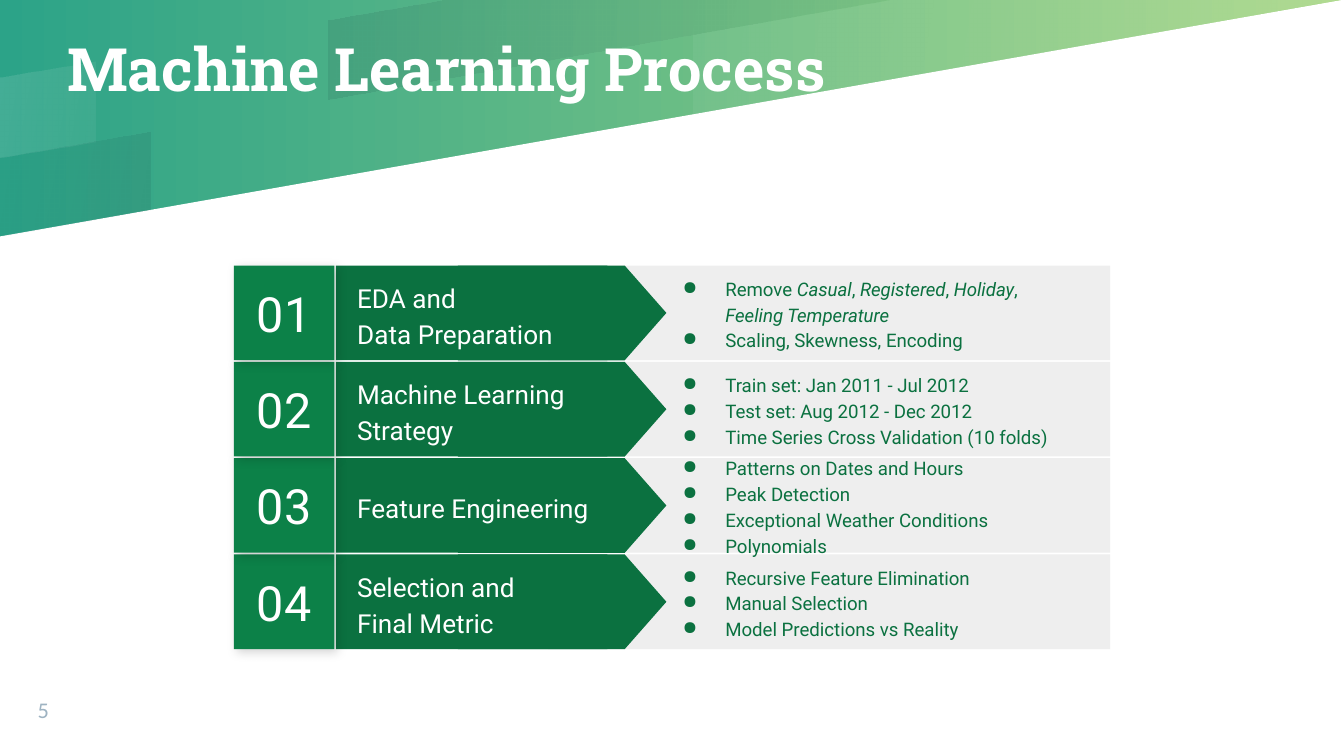
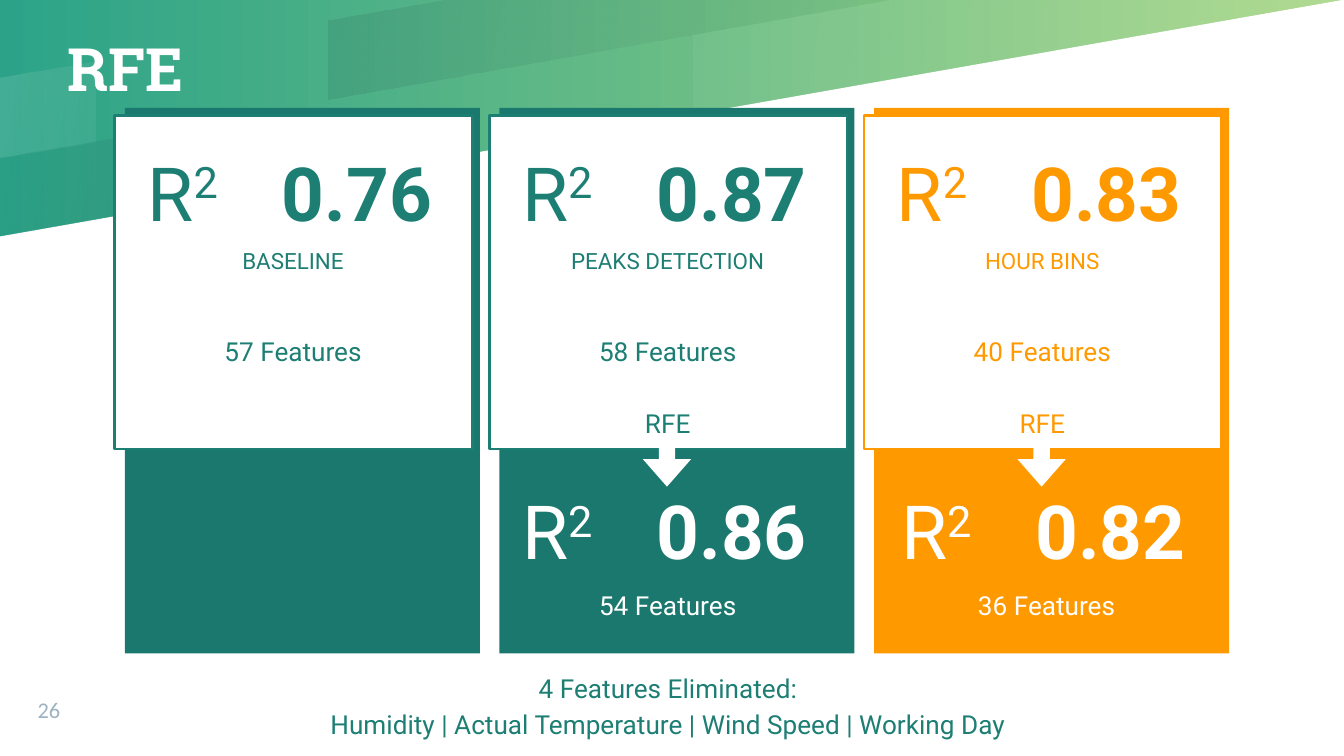
from lxml import etree
from pptx import Presentation
from pptx.dml.color import RGBColor
from pptx.enum.shapes import MSO_SHAPE
from pptx.enum.text import MSO_ANCHOR, PP_ALIGN
from pptx.oxml.ns import qn
from pptx.util import Cm, Pt

RECT = MSO_SHAPE.RECTANGLE
PENTAGON = MSO_SHAPE.FLOWCHART_OFFPAGE_CONNECTOR
ARROW = MSO_SHAPE.RIGHT_ARROW
TOP, MIDDLE, BOTTOM = MSO_ANCHOR.TOP, MSO_ANCHOR.MIDDLE, MSO_ANCHOR.BOTTOM
LEFT, CENTER = PP_ALIGN.LEFT, PP_ALIGN.CENTER

# Colours
WHITE = RGBColor(0xFF, 0xFF, 0xFF)
INK = RGBColor(0x00, 0x00, 0x1A)
BG_START = RGBColor(0x2C, 0xA3, 0x88)
BG_END = RGBColor(0xA6, 0xD6, 0x83)
PAGE_GREY = RGBColor(0x9E, 0xB3, 0xC2)
PANEL_GREY = RGBColor(0xEE, 0xEE, 0xEE)
GREEN = RGBColor(0x0B, 0x71, 0x40)
TILE_GREEN = RGBColor(0x0C, 0x81, 0x48)
TEAL = RGBColor(0x1D, 0x7E, 0x74)
DEEP_TEAL = RGBColor(0x1B, 0x78, 0x6E)
ORANGE = RGBColor(0xFF, 0x99, 0x00)

BODY_FONT = "Roboto"
TITLE_FONT = "Roboto Slab"
PAGE_FONT = "Calibri"
INSET = 0.25

# Header bands: colour, start and end opacity in percent, corners in cm
BANDS = [
    (INK, 2, 8, [(0, 2.97), (0, 4.47), (2.84, 3.96), (2.84, 2.49)]),
    (WHITE, 5, 12, [(16.89, 0), (13.11, 0.66), (13.11, 2.16), (25.37, 0)]),
    (WHITE, 12, 5, [(0, 1.47), (0, 2.97), (1.8, 2.67), (1.8, 1.17)]),
    (INK, 8, 2, [(8.43, 0), (6.2, 0.38), (6.2, 1.88), (16.89, 0)]),
]
PAPER = [(0, 14.29), (25.4, 14.29), (25.4, 0), (25.37, 0), (0, 4.47)]

# Process steps; asterisks enclose italics
STEPS = [
    (["EDA and", "Data Preparation"],
     ["Remove *Casual*, *Registered*, *Holiday*,* Feeling Temperature*",
      "Scaling, Skewness, Encoding"]),
    (["Machine Learning Strategy"],
     ["Train set: Jan 2011 - Jul 2012", "Test set: Aug 2012 - Dec 2012",
      "Time Series Cross Validation (10 folds)"]),
    (["Feature Engineering"],
     ["Patterns on Dates and Hours", "Peak Detection",
      "Exceptional Weather Conditions", "Polynomials"]),
    (["Selection and", "Final Metric"],
     ["Recursive Feature Elimination", "Manual Selection",
      "Model Predictions vs Reality"]),
]
ROW_TOP, ROW_PITCH, ROW_H = 5.02, 1.82, 1.79

# Score cards: name, R², features, back colour, text colour,
# result after RFE as (R², features, shift in cm)
CARDS = [
    ("BASELINE", "0.76", "57 Features", DEEP_TEAL, TEAL, None),
    ("PEAKS DETECTION", "0.87", "58 Features", DEEP_TEAL, TEAL,
     ("0.86", "54 Features", 0)),
    ("HOUR BINS", "0.83", "40 Features", ORANGE, ORANGE,
     ("0.82", "36 Features", 0.08)),
]
CARD_LEFT, CARD_PITCH = 2.36, 7.08


# Drawing helpers
def box(left, top, width, height):
    return Cm(left), Cm(top), Cm(width), Cm(height)


def add_outer_shadow(effects, opacity, blur, distance):
    shadow = etree.SubElement(effects, qn("a:outerShdw"), blurRad=str(Pt(blur)),
                              dist=str(Pt(distance)), dir="2700000",
                              algn="bl", rotWithShape="0")
    color = etree.SubElement(shadow, qn("a:srgbClr"), val="000000")
    etree.SubElement(color, qn("a:alpha"), val=str(opacity * 1000))


def plain(sp, color, line=None):
    sp.shadow.inherit = False
    sp.fill.solid()
    sp.fill.fore_color.rgb = color
    if line is None:
        sp.line.fill.background()
    else:
        sp.line.color.rgb = line
        sp.line.width = Pt(1.5)
    return sp


def add_block(shapes, kind, place, color, line=None):
    return plain(shapes.add_shape(kind, *box(*place)), color, line)


def add_outline(shapes, points, color):
    corners = [(Cm(x), Cm(y)) for x, y in points]
    builder = shapes.build_freeform(*corners[0])
    builder.add_line_segments(corners[1:], close=True)
    return plain(builder.convert_to_shape(), color)


def set_gradient(fill, colors, angle):
    fill.gradient()
    fill.gradient_angle = angle
    for stop, color in zip(fill.gradient_stops, colors):
        stop.color.rgb = color


def style_run(r, size, color, font=BODY_FONT, bold=False):
    r.font.size = Pt(size)
    r.font.name = font
    r.font.bold = bold
    r.font.color.rgb = color


def setup_frame(sp, anchor=TOP, inset=INSET):
    tf = sp.text_frame
    tf.word_wrap = True
    tf.vertical_anchor = anchor
    tf.margin_left = tf.margin_right = Cm(inset)
    tf.margin_top = tf.margin_bottom = Cm(inset)
    return tf


def write(sp, lines, size, color, align=LEFT, anchor=TOP, spacing=None,
          inset=INSET, font=BODY_FONT, bold=False):
    tf = setup_frame(sp, anchor, inset)
    tf.text = "\n".join(lines)
    for p in tf.paragraphs:
        p.alignment = align
        if spacing:
            p.line_spacing = spacing
        for r in p.runs:
            style_run(r, size, color, font, bold)
    return tf


def add_text(shapes, place, lines, size, color, **options):
    return write(shapes.add_textbox(*box(*place)), lines, size, color, **options)


def add_bullets(shapes, place, items):
    tf = setup_frame(shapes.add_textbox(*box(*place)), MIDDLE)
    for i, item in enumerate(items):
        p = tf.paragraphs[0] if i == 0 else tf.add_paragraph()
        p.line_spacing = 1.15
        pPr = p._p.get_or_add_pPr()
        pPr.set("marL", str(Cm(1.27)))
        pPr.set("indent", str(Cm(-0.81)))
        bullet_color = etree.SubElement(pPr, qn("a:buClr"))
        etree.SubElement(bullet_color, qn("a:srgbClr"), val=str(GREEN))
        etree.SubElement(pPr, qn("a:buChar"), char="●")
        for j, part in enumerate(item.split("*")):
            if part:
                r = p.add_run()
                r.text = part
                style_run(r, 10, GREEN)
                r.font.italic = j % 2 == 1


def add_score(shapes, left, top, score, color):
    tf = setup_frame(shapes.add_textbox(*box(left, top, 6, 1.7)))
    p = tf.paragraphs[0]
    tabs = etree.SubElement(p._p.get_or_add_pPr(), qn("a:tabLst"))
    etree.SubElement(tabs, qn("a:tab"), pos=str(Cm(2.54)), algn="l")
    for part in ("R", "2", "\t" + score):
        r = p.add_run()
        r.text = part
        style_run(r, 40, color, bold=part.endswith(score))
        if part == "2":
            r.font._element.set("baseline", "30000")


# Shared slide frame
def add_slide(prs, title, number):
    s = prs.slides.add_slide(prs.slide_layouts[6])
    set_gradient(s.background.fill, (BG_START, BG_END), 0)
    header = s.shapes.add_group_shape().shapes
    add_outline(header, PAPER, WHITE)
    for color, start, end, points in BANDS:
        band = add_outline(header, points, color)
        set_gradient(band.fill, (color, color), 350)
        stops = band._element.spPr.iter(qn("a:srgbClr"))
        for stop, opacity in zip(stops, (start, end)):
            etree.SubElement(stop, qn("a:alpha"), val=str(opacity * 1000))

    add_text(s.shapes, (0.71, 12.98, 1.35, 0.69), [str(number)], 12, PAGE_GREY,
             anchor=BOTTOM, inset=0, font=PAGE_FONT)
    tf = add_text(s.shapes, (1.27, 0, 15.24, 2.54), [title], 32, WHITE,
                  anchor=MIDDLE, inset=0, font=TITLE_FONT, bold=True)
    effects = etree.Element(qn("a:effectLst"))
    add_outer_shadow(effects, 40, 3, 2)
    rPr = tf.paragraphs[0].runs[0].font._element
    rPr.find(qn("a:solidFill")).addnext(effects)
    return s


# Slide parts
def add_step(slide, index, label, details):
    top = ROW_TOP + index * ROW_PITCH
    shapes = slide.shapes.add_group_shape().shapes
    add_block(shapes, RECT, (10.36, top, 10.62, ROW_H), PANEL_GREY)
    add_block(shapes, RECT, (6.35, top, 5.13, ROW_H), GREEN)
    length = 3.94
    pointer = add_block(shapes, PENTAGON,
                        (9.73, top + (ROW_H - length) / 2, ROW_H, length), GREEN)
    pointer.rotation = 270
    add_text(shapes, (6.5, top + 0.22, 5.38, 1.37), label, 14, WHITE,
             anchor=MIDDLE, spacing=1.15)
    tile = add_block(shapes, RECT, (4.42, top, 1.9, ROW_H), TILE_GREEN)
    add_outer_shadow(tile._element.spPr.find(qn("a:effectLst")), 17, 5.6, 2.2)
    write(tile, [f"{index + 1:02}"], 26, WHITE, align=CENTER, anchor=MIDDLE)
    add_bullets(shapes, (12.19, top, 8.26, ROW_H), details)


def add_card(slide, index, name, score, features, back, color, result):
    left = CARD_LEFT + index * CARD_PITCH
    text_left = left + 0.18
    shapes = slide.shapes.add_group_shape().shapes
    add_block(shapes, RECT, (left, 2.04, 6.71, 10.31), back)
    add_block(shapes, RECT, (left - 0.19, 2.19, 6.76, 6.3), WHITE, color)
    add_text(shapes, (text_left, 4.42, 6, 1.55), [name], 12, color, align=CENTER)
    lines = [features, "RFE"] if result else [features]
    tf = add_text(shapes, (text_left, 6, 6, 2.11), lines, 14, color,
                  align=CENTER, spacing=1.15)
    add_score(shapes, text_left, 2.52, score, color)
    if result:
        tf.paragraphs[1].space_before = Pt(19.3)
        arrow = add_block(shapes, ARROW, (left + 2.67, 8.25, 0.99, 0.91), WHITE)
        arrow.rotation = 90
        arrow.adjustments[0], arrow.adjustments[1] = 0.342, 0.57
        new_score, kept, shift = result
        add_score(slide.shapes, text_left + shift, 8.92, new_score, WHITE)
        add_text(slide.shapes, (text_left + shift, 10.8, 6, 1.2), [kept], 14,
                 WHITE, align=CENTER, spacing=1.15)


def main():
    prs = Presentation()
    prs.slide_width, prs.slide_height = Cm(25.4), Cm(14.29)

    # Process overview, drawn from the bottom row up
    s = add_slide(prs, "Machine Learning Process", 5)
    for index, (label, details) in reversed(list(enumerate(STEPS))):
        add_step(s, index, label, details)

    # Feature elimination scores
    s = add_slide(prs, "RFE", 26)
    for index, card in enumerate(CARDS):
        add_card(s, index, *card)
    add_text(s.shapes, (1.27, 12.37, 22.71, 1.93),
             ["4 Features Eliminated:",
              "Humidity | Actual Temperature | Wind Speed | Working Day"],
             14, TEAL, align=CENTER, spacing=1.15)

    prs.save("out.pptx")


if __name__ == "__main__":
    main()
